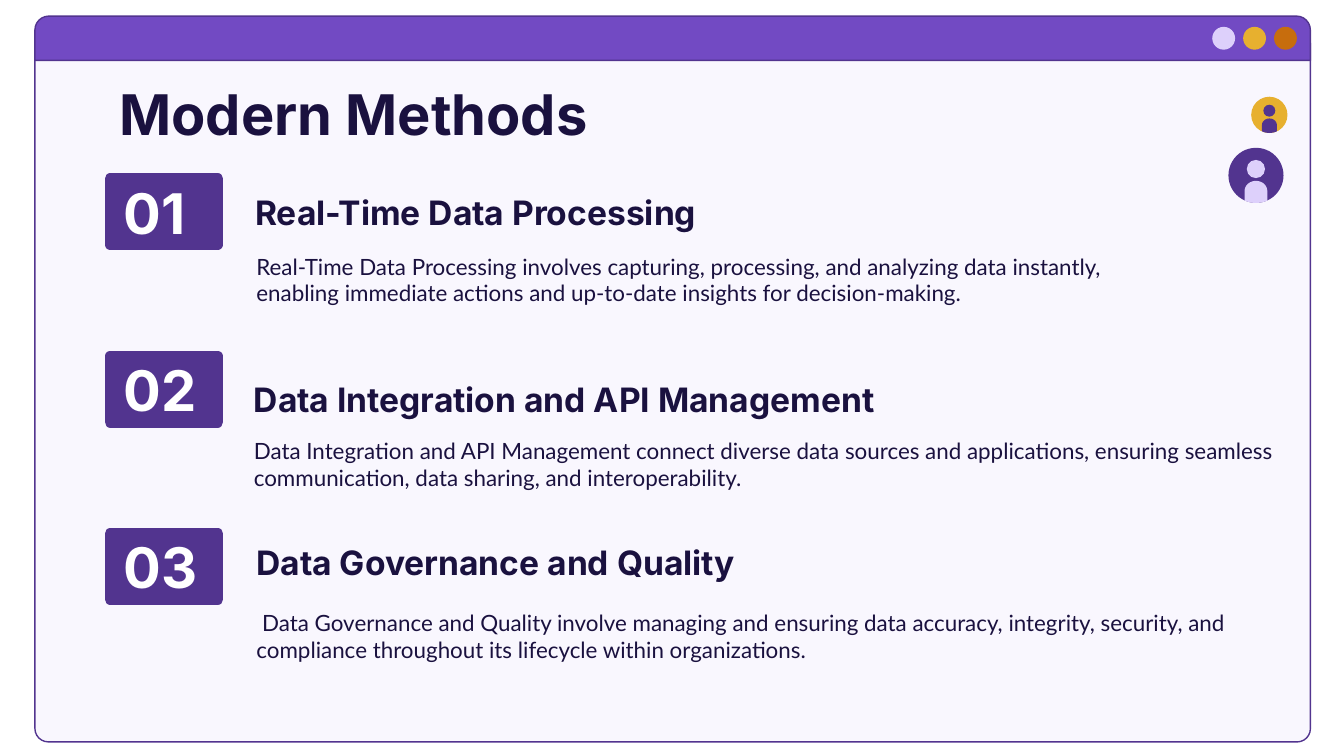
"""Build the Modern Methods slide: a window frame with three numbered topics."""
from math import acos, cos, pi, sin

from lxml.etree import SubElement
from pptx import Presentation
from pptx.dml.color import RGBColor
from pptx.enum.shapes import MSO_SHAPE as Shape
from pptx.enum.text import MSO_ANCHOR as Anchor, PP_ALIGN as Align
from pptx.oxml.ns import qn
from pptx.util import Inches, Pt

INK, PURPLE, VIOLET, LILAC = "1A113F", "52348F", "724AC3", "DDD0FB"
GOLD, ORANGE, WHITE = "E7B02F", "C76D0D", "FFFFFF"

TITLE = "Modern Methods"
TOPICS = [
    {"heading": "Real-Time Data Processing", "heading_box": (1.8, 1.25, 7.04, 0.58),
     "body": "Real-Time Data Processing involves capturing, processing, and analyzing data "
             "instantly, enabling immediate actions and up-to-date insights for decision-making.",
     "body_box": (1.81, 1.78, 7.04, 1.12)},
    {"heading": "Data Integration and API Management", "heading_box": (1.79, 2.64, 8.21, 0.58),
     "body": "Data Integration and API Management connect diverse data sources and applications, "
             "ensuring seamless communication, data sharing, and interoperability.",
     "body_box": (1.79, 3.15, 8.41, 1.12)},
    {"heading": "Data Governance and Quality", "heading_box": (1.81, 3.85, 7.57, 0.58),
     "body": " Data Governance and Quality involve managing and ensuring data accuracy, integrity, "
             "security, and compliance throughout its lifecycle within organizations.",
     "body_box": (1.81, 4.43, 7.57, 1.12)},
]
BUTTONS = [LILAC, GOLD, ORANGE]
AVATARS = [(9.14, 1.1, 0.41, PURPLE, LILAC), (9.31, 0.72, 0.27, GOLD, PURPLE)]
FRAME_X, FRAME_W = 0.26, 9.49
BADGE_TOP, BADGE_STEP = 1.33, 1.32


def rgb(value):
    return RGBColor.from_string(value)


def paint(sp, fill, line=None, width=0.75):
    sp.shadow.inherit = False
    sp.fill.solid()
    sp.fill.fore_color.rgb = rgb(fill)
    if line:
        sp.line.color.rgb = rgb(line)
        sp.line.width = Pt(width)
    else:
        sp.line.fill.background()
    return sp


def add_shape(s, kind, box, fill, line=None, width=0.75):
    return paint(s.shapes.add_shape(kind, *map(Inches, box)), fill, line, width)


def write(sp, text, size, font, color=INK, bold=True, anchor=Anchor.TOP):
    tf = sp.text_frame
    tf.text = text
    tf.word_wrap = True
    tf.vertical_anchor = anchor
    tf.margin_left = tf.margin_right = tf.margin_top = tf.margin_bottom = Inches(0.1)
    p = tf.paragraphs[0]
    p.alignment = Align.LEFT
    f = p.runs[0].font
    f.size, f.name, f.bold, f.color.rgb = Pt(size), font, bold, rgb(color)


def add_text(s, box, text, size, font, **style):
    write(s.shapes.add_textbox(*map(Inches, box)), text, size, font, **style)


def add_frame(s):
    body = add_shape(s, Shape.ROUND_2_SAME_RECTANGLE, (FRAME_X, 0.32, FRAME_W, 5.2), LILAC, PURPLE)
    body.rotation = 180
    body.adjustments[0] = 0.019
    color = body.element.spPr.find(qn("a:solidFill"))[0]
    SubElement(color, qn("a:alpha")).set("val", "15000")
    bar = add_shape(s, Shape.ROUND_2_SAME_RECTANGLE, (FRAME_X, 0.12, FRAME_W, 0.33), VIOLET, PURPLE)
    bar.adjustments[0] = 0.312
    for i, color in enumerate(BUTTONS):
        add_shape(s, Shape.OVAL, (9.02 + 0.23 * i, 0.2, 0.17, 0.17), color)


def add_avatar(s, x, y, size, back, front):
    add_shape(s, Shape.OVAL, (x, y, size, size), back)
    add_shape(s, Shape.OVAL, (x + 0.335 * size, y + 0.22 * size, 0.33 * size, 0.33 * size), front)
    steps, half = 24, 0.205
    edge = acos(half / 0.5)
    points = []
    for i in range(steps + 1):
        a = pi * (1 - i / steps)
        points.append((0.5 + half * cos(a), 0.78 - 0.18 * sin(a)))
    for i in range(steps + 1):
        a = edge + (pi - 2 * edge) * i / steps
        points.append((0.5 + 0.5 * cos(a), 0.5 + 0.5 * sin(a)))
    points = [(Inches(x + px * size), Inches(y + py * size)) for px, py in points]
    fb = s.shapes.build_freeform(*points[0])
    fb.add_line_segments(points[1:], close=True)
    paint(fb.convert_to_shape(), front)


def add_topic(s, i, topic):
    add_text(s, topic["body_box"], topic["body"], 12, "Lato", bold=False)
    add_text(s, topic["heading_box"], topic["heading"], 18, "Inter", anchor=Anchor.BOTTOM)
    badge = add_shape(s, Shape.RECTANGLE, (0.82, BADGE_TOP + BADGE_STEP * i, 0.8, 0.49),
                      PURPLE, PURPLE, 6)
    SubElement(badge.element.spPr.find(qn("a:ln")), qn("a:round"))
    write(badge, f"{i + 1:02}", 30, "Inter", color=WHITE, anchor=Anchor.MIDDLE)


def main():
    prs = Presentation()
    prs.slide_width = Inches(10)
    prs.slide_height = prs.slide_width * 9 // 16
    s = prs.slides.add_slide(prs.slide_layouts[6])
    add_frame(s)
    for avatar in AVATARS:
        add_avatar(s, *avatar)
    add_text(s, (0.79, 0.49, 8.43, 0.63), TITLE, 30, "Inter")
    for i, topic in enumerate(TOPICS):
        add_topic(s, i, topic)
    prs.save("out.pptx")


if __name__ == "__main__":
    main()
